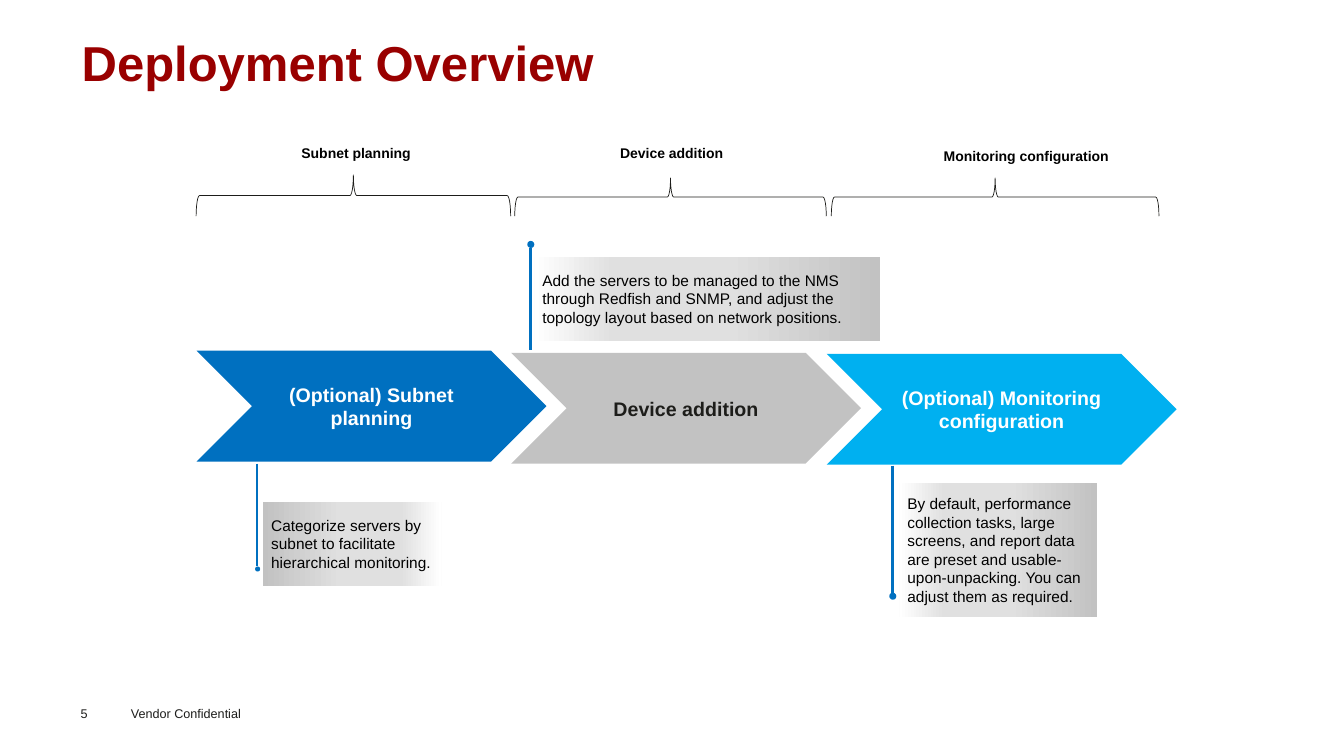
from copy import deepcopy

from pptx import Presentation
from pptx import util as u
from pptx.dml.color import RGBColor
from pptx.enum import shapes, text
from pptx.oxml.ns import qn
from pptx.oxml.xmlchemy import OxmlElement

PX = u.Inches(1) // 100
FONT = "Arial"
COLORS = {
    "title": "990000",
    "footer": "1D1D1B",
    "ink": "1D1D1A",
    "black": "000000",
    "white": "FFFFFF",
    "blue": "0070C0",
    "sky": "00B0F0",
    "grey": "C2C2C2",
    "pale": "E0E0E0",
}
NOTE_STOPS = [(0, "grey"), (0.44, "pale"), (0.77, "pale"), (1, "white")]

STAGES = [
    ((195, 348), "(Optional) Subnet planning", "blue", "white"),
    ((507, 350), "Device addition", "grey", "ink"),
    ((820, 351), "(Optional) Monitoring configuration", "sky", "white"),
]
PHASES = [
    ("Subnet planning", (299, 143, 110, 17), (330, 38, 41, 312)),
    ("Device addition", (615, 143, 103, 17), (646, 41, 38, 309)),
    ("Monitoring configuration", (936, 146, 167, 14), (968, 33, 38, 325)),
]
NOTES = [
    ("Categorize servers by subnet to facilitate hierarchical monitoring.",
     (261, 498, 177, 83), 0),
    ("Add the servers to be managed to the NMS through Redfish and SNMP, "
     "and adjust the topology layout based on network positions.",
     (530, 255, 343, 83), 180),
    ("By default, performance collection tasks, large screens, and report data "
     "are preset and usable-upon-unpacking. You can adjust them as required.",
     (892, 479, 196, 133), 180),
]
PINS = [
    (255, 460, 562, (253, 562, 5)),
    (526, 347, 246, (523, 239, 7)),
    (885, 462, 590, (882, 588, 7)),
]


def rgb(name):
    """Return the named colour."""
    return RGBColor.from_string(COLORS[name])


def px(*lengths):
    """Turn pixel lengths into EMU."""
    return [u.Emu(length * PX) for length in lengths]


def write(frame, words, *, size, color="black", bold=False, centered=False,
          middle=False, insets=(0, 0, 0, 0)):
    """Fill a text frame with one formatted paragraph."""
    frame.word_wrap = True
    frame.vertical_anchor = text.MSO_ANCHOR.MIDDLE if middle else text.MSO_ANCHOR.TOP
    (frame.margin_left, frame.margin_top,
     frame.margin_right, frame.margin_bottom) = px(*insets)
    paragraph = frame.paragraphs[0]
    paragraph.alignment = text.PP_ALIGN.CENTER if centered else text.PP_ALIGN.LEFT
    run = paragraph.add_run()
    run.text = words
    run.font.name = FONT
    run.font.size = u.Pt(size)
    run.font.bold = bold
    run.font.color.rgb = rgb(color)


def add_label(slide, words, box, **style):
    """Add a text box."""
    write(slide.shapes.add_textbox(*px(*box)).text_frame, words, **style)


def add_plain(slide, kind, box, color=None):
    """Add a preset shape without shadow or outline."""
    plain = slide.shapes.add_shape(kind, *px(*box))
    plain.shadow.inherit = False
    plain.line.fill.background()
    if color:
        plain.fill.solid()
        plain.fill.fore_color.rgb = rgb(color)
    else:
        plain.fill.background()
    return plain


def add_stage(slide, corner, words, color, ink):
    """Add one chevron of the process."""
    chevron = add_plain(slide, shapes.MSO_SHAPE.CHEVRON, (*corner, 347, 110), color)
    write(chevron.text_frame, words, size=14, color=ink, bold=True,
          centered=True, middle=True, insets=(10, 5, 10, 5))


def add_phase(slide, words, label_box, brace_box):
    """Add a phase heading and the brace below it."""
    add_label(slide, words, label_box, size=10, bold=True)
    brace = add_plain(slide, shapes.MSO_SHAPE.RIGHT_BRACE, brace_box)
    brace.rotation = 270
    brace.line.color.rgb = rgb("ink")
    brace.line.width = u.Pt(0.5)


def add_note(slide, words, box, angle):
    """Add a description on a grey gradient."""
    note = add_plain(slide, shapes.MSO_SHAPE.RECTANGLE, box)
    note.fill.gradient()
    note.fill.gradient_angle = angle
    stop_list = next(note._element.iter(qn("a:gsLst")))
    for stop in list(stop_list):
        stop_list.append(deepcopy(stop))
    for stop, (position, color) in zip(note.fill.gradient_stops, NOTE_STOPS):
        stop.position = position
        stop.color.rgb = rgb(color)
    write(note.text_frame, words, size=11, middle=True, insets=(8, 0, 8, 0))


def add_pin(slide, x, start, end, dot):
    """Add a vertical line with a dot at its end."""
    stem = slide.shapes.add_connector(
        shapes.MSO_CONNECTOR.STRAIGHT, *px(x, start, x, end))
    stem.line.color.rgb = rgb("blue")
    stem.line.width = u.Pt(1.75)
    stem._element.spPr.append(OxmlElement("a:effectLst"))
    left, top, size = dot
    add_plain(slide, shapes.MSO_SHAPE.OVAL, (left, top, size, size), "blue")


def main():
    """Build the deployment overview slide."""
    deck = Presentation()
    deck.slide_width, deck.slide_height = px(1333, 750)
    slide = deck.slides.add_slide(deck.slide_layouts[6])
    add_label(slide, "Vendor Confidential", (120, 695, 160, 25), size=9,
              color="footer", insets=(10, 5, 10, 5))
    add_label(slide, "5", (80, 700, 55, 15), size=9, color="footer")
    add_label(slide, "Deployment Overview", (81, 34, 1142, 55), size=35,
              color="title", bold=True, middle=True, insets=(0, 4, 9, 4))
    for add, rows in ((add_stage, STAGES), (add_note, NOTES),
                      (add_pin, PINS), (add_phase, PHASES)):
        for row in rows:
            add(slide, *row)
    deck.save("out.pptx")


if __name__ == "__main__":
    main()
